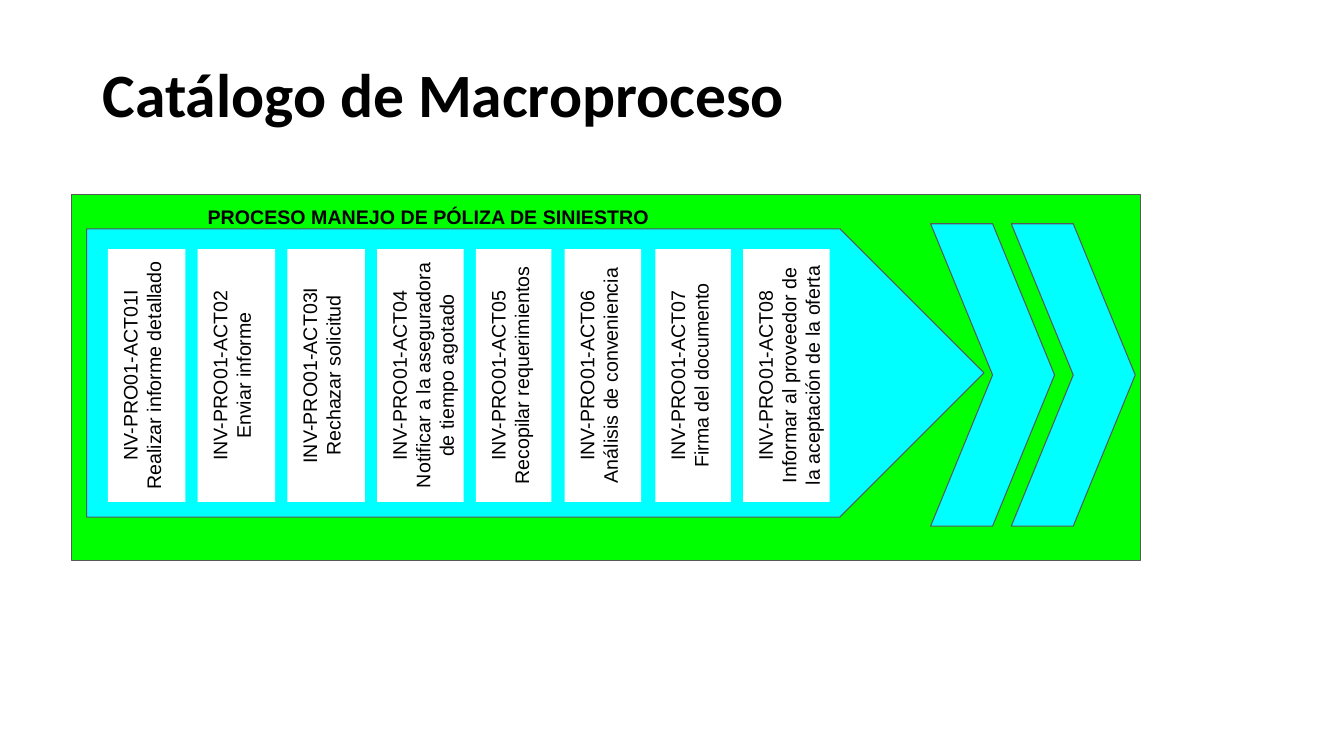
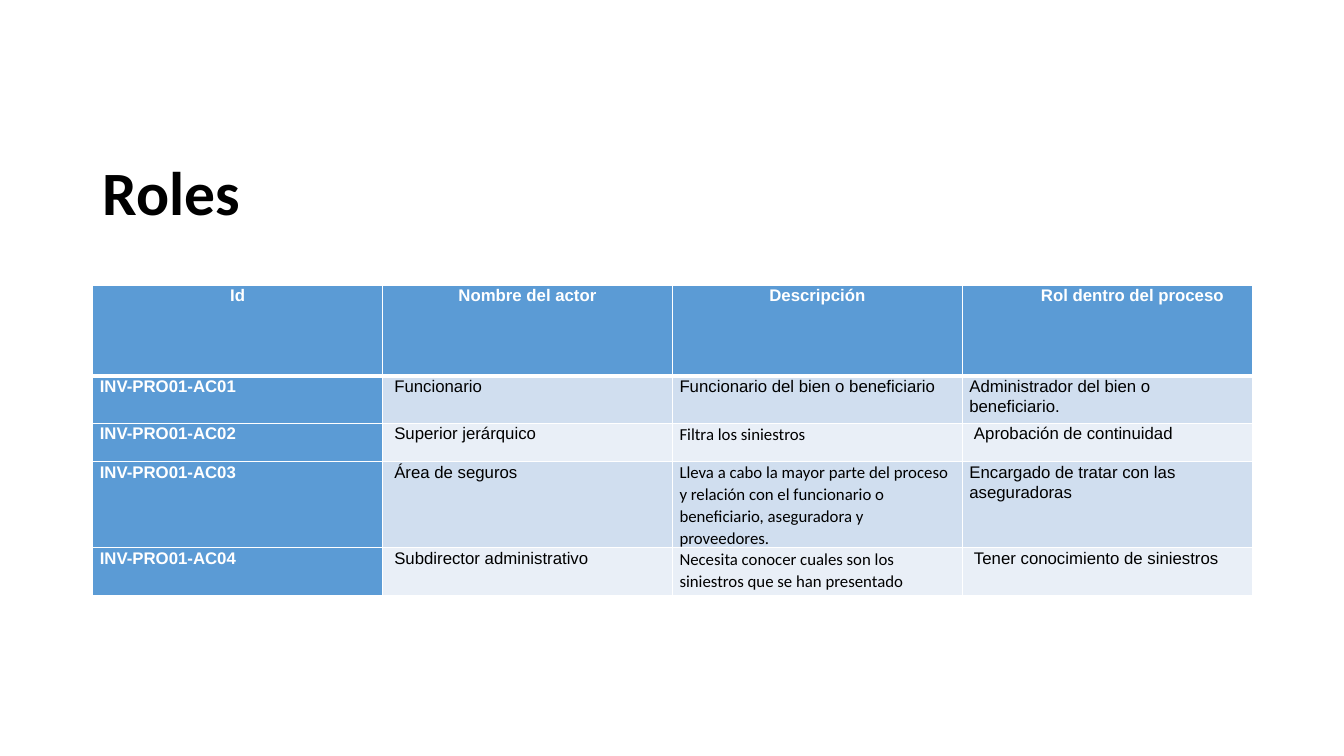
import dataclasses

import lxml.etree
import pptx
import pptx.dml.color
import pptx.enum.shapes
import pptx.enum.text
import pptx.oxml.ns
import pptx.util

Inches = pptx.util.Inches
Pt = pptx.util.Pt
SHAPE = pptx.enum.shapes.MSO_SHAPE
ALIGN = pptx.enum.text.PP_ALIGN
ANCHOR = pptx.enum.text.MSO_ANCHOR

COLORS = {
    "black": "000000",
    "white": "FFFFFF",
    "green": "00FF00",
    "cyan": "00FFFF",
    "outline": "595959",
    "header": "5B9BD5",
    "band_dark": "D0DEEF",
    "band_light": "E9EFF7",
}
HEADING_FONT = "Calibri"
BODY_FONT = "Arial"
MARGIN = 0.92
CONTENT_WIDTH = 11.5


@dataclasses.dataclass(frozen=True)
class Box:
    """Place and size in inches."""

    left: float
    top: float
    width: float
    height: float

    def lengths(self) -> tuple:
        """Return left, top, width and height as lengths."""
        return tuple(Inches(value) for value in dataclasses.astuple(self))


@dataclasses.dataclass(frozen=True)
class TextStyle:
    """Look of a paragraph."""

    size: float
    font: str = BODY_FONT
    color: str = "black"
    bold: bool = False
    align: ALIGN = ALIGN.LEFT
    spacing: float = 1.0
    indent: float = 0


@dataclasses.dataclass(frozen=True)
class Activity:
    """One upright activity card, with its visible left edge and width."""

    left: float
    width: float
    code: str
    name: str


@dataclasses.dataclass(frozen=True)
class Role:
    """One row of the roles table."""

    code: str
    actor: str
    description: str
    duty: str
    height: float
    description_font: str = HEADING_FONT


TITLE_STYLE = TextStyle(44, HEADING_FONT, bold=True, spacing=0.9)
PROCESS_STYLE = TextStyle(14, bold=True)
CARD_STYLE = TextStyle(14, align=ALIGN.CENTER)
CELL_STYLE = TextStyle(12, spacing=1.07)
CODE_STYLE = dataclasses.replace(CELL_STYLE, color="white", bold=True)
HEADER_STYLE = dataclasses.replace(CODE_STYLE, align=ALIGN.CENTER)

CARD_TOP, CARD_HEIGHT = 2.47, 2.51
ACTIVITIES = [
    Activity(1.07, 0.77, "NV-PRO01-ACT01I", "Realizar informe detallado"),
    Activity(1.96, 0.77, "INV-PRO01-ACT02", "Enviar informe"),
    Activity(2.85, 0.77, "INV-PRO01-ACT03I", "Rechazar solicitud"),
    Activity(3.74, 0.86, "INV-PRO01-ACT04",
             "Notificar a la aseguradora de tiempo agotado"),
    Activity(4.72, 0.75, "INV-PRO01-ACT05", "Recopilar requerimientos"),
    Activity(5.6, 0.76, "INV-PRO01-ACT06", "Análisis de conveniencia"),
    Activity(6.5, 0.75, "INV-PRO01-ACT07", "Firma del documento"),
    Activity(7.37, 0.86, "INV-PRO01-ACT08",
             "Informar al proveedor de la aceptación de la oferta"),
]

ROLE_HEADINGS = ["Id", "Nombre del actor", "Descripción", "Rol dentro del proceso"]
HEADER_HEIGHT = 0.9
ROLES = [
    Role("INV-PRO01-AC01", "\u00a0Funcionario",
         "Funcionario del bien o beneficiario",
         "Administrador del bien o beneficiario.", 0.47, BODY_FONT),
    Role("INV-PRO01-AC02", "\u00a0Superior jerárquico", "Filtra los siniestros",
         "\u00a0Aprobación de continuidad", 0.38),
    Role("INV-PRO01-AC03", "\u00a0Área de seguros",
         "Lleva a cabo la mayor parte del proceso y relación con el funcionario "
         "o beneficiario, aseguradora y proveedores.",
         "Encargado de tratar con las aseguradoras", 0.62),
    Role("INV-PRO01-AC04", "\u00a0Subdirector administrativo",
         "Necesita conocer cuales son los siniestros que se han presentado",
         "\u00a0Tener conocimiento de siniestros", 0.47),
]


def rgb(name: str) -> pptx.dml.color.RGBColor:
    """Return a named colour."""
    return pptx.dml.color.RGBColor.from_string(COLORS[name])


def write_text(frame, lines: list[str], style: TextStyle) -> None:
    """Write one paragraph per line."""
    for index, line in enumerate(lines):
        para = frame.add_paragraph() if index else frame.paragraphs[0]
        para.text = line
        para.alignment = style.align
        para.line_spacing = style.spacing
        para.font.size = Pt(style.size)
        para.font.name = style.font
        para.font.bold = style.bold
        para.font.color.rgb = rgb(style.color)
        if style.indent:
            para._p.get_or_add_pPr().set("indent", str(Inches(style.indent)))


def set_frame(frame, anchor: ANCHOR, vertical_inset: float) -> None:
    """Set wrapping, anchor and insets of a text frame."""
    frame.word_wrap = True
    frame.vertical_anchor = anchor
    frame.margin_left = frame.margin_right = Inches(0.1)
    frame.margin_top = frame.margin_bottom = Inches(vertical_inset)


def add_text(page, box: Box, text: str, style: TextStyle,
             anchor: ANCHOR = ANCHOR.TOP, vertical_inset: float = 0.1) -> None:
    """Add a text box."""
    frame = page.shapes.add_textbox(*box.lengths()).text_frame
    set_frame(frame, anchor, vertical_inset)
    write_text(frame, [text], style)


def add_titled_page(deck, title: str, top: float):
    """Add a blank page with a title."""
    page = deck.slides.add_slide(deck.slide_layouts[6])
    add_text(page, Box(MARGIN, top, CONTENT_WIDTH, 1.45), title, TITLE_STYLE,
             ANCHOR.MIDDLE, 0.05)
    return page


def add_panel(page, kind: SHAPE, box: Box, fill: str, outlined: bool = True):
    """Add a filled preset shape."""
    panel = page.shapes.add_shape(kind, *box.lengths())
    panel.shadow.inherit = False
    panel.fill.solid()
    panel.fill.fore_color.rgb = rgb(fill)
    if outlined:
        panel.line.color.rgb = rgb("outline")
        panel.line.width = Pt(0.75)
    else:
        panel.line.fill.background()
    return panel


def add_card(page, activity: Activity) -> None:
    """Add an activity card turned to read upwards."""
    center_x = activity.left + activity.width / 2
    center_y = CARD_TOP + CARD_HEIGHT / 2
    box = Box(center_x - CARD_HEIGHT / 2, center_y - activity.width / 2,
              CARD_HEIGHT, activity.width)
    card = add_panel(page, SHAPE.RECTANGLE, box, "white", outlined=False)
    card.rotation = 270
    set_frame(card.text_frame, ANCHOR.TOP, 0.1)
    write_text(card.text_frame, [activity.code, activity.name], CARD_STYLE)


def add_borders(cell, top: float = 1, bottom: float = 1) -> None:
    """Draw white borders, with widths in points."""
    properties = cell._tc.get_or_add_tcPr()
    for side, width in (("L", 1), ("R", 1), ("T", top), ("B", bottom)):
        line = lxml.etree.SubElement(
            properties, pptx.oxml.ns.qn(f"a:ln{side}"), w=str(Pt(width)))
        fill = lxml.etree.SubElement(line, pptx.oxml.ns.qn("a:solidFill"))
        lxml.etree.SubElement(
            fill, pptx.oxml.ns.qn("a:srgbClr"), val=COLORS["white"])


def fill_cell(cell, text: str, style: TextStyle, fill: str,
              top: float = 1, bottom: float = 1) -> None:
    """Set text, borders and fill of a table cell."""
    cell.margin_left = cell.margin_right = Inches(0.07)
    cell.margin_top = cell.margin_bottom = 0
    write_text(cell.text_frame, [text], style)
    add_borders(cell, top, bottom)
    cell.fill.solid()
    cell.fill.fore_color.rgb = rgb(fill)


def add_roles_table(page) -> None:
    """Add the table of roles."""
    heights = [HEADER_HEIGHT] + [role.height for role in ROLES]
    box = Box(MARGIN, 2.83, CONTENT_WIDTH, sum(heights))
    table = page.shapes.add_table(
        len(heights), len(ROLE_HEADINGS), *box.lengths()).table
    table.horz_banding = False
    for row, height in zip(table.rows, heights):
        row.height = Inches(height)

    for column, heading in enumerate(ROLE_HEADINGS):
        indent = 0.5 if column == len(ROLE_HEADINGS) - 1 else 0
        style = dataclasses.replace(HEADER_STYLE, indent=indent)
        fill_cell(table.cell(0, column), heading, style, "header", bottom=3)

    for row, role in enumerate(ROLES, start=1):
        band = "band_dark" if row % 2 else "band_light"
        description_style = dataclasses.replace(
            CELL_STYLE, font=role.description_font)
        contents = [
            (role.code, CODE_STYLE, "header"),
            (role.actor, CELL_STYLE, band),
            (role.description, description_style, band),
            (role.duty, CELL_STYLE, band),
        ]
        for column, (text, style, fill) in enumerate(contents):
            fill_cell(table.cell(row, column), text, style, fill,
                      top=3 if row == 1 else 1)


def build_macroprocess(deck) -> None:
    """Build the macroprocess page."""
    page = add_titled_page(deck, "Catálogo de Macroproceso", 0.24)
    add_panel(page, SHAPE.RECTANGLE, Box(0.71, 1.93, 10.6, 3.63), "green")
    add_panel(page, SHAPE.PENTAGON, Box(0.86, 2.27, 8.9, 2.86), "cyan")
    for left in (9.23, 10.03):
        add_panel(page, SHAPE.CHEVRON, Box(left, 2.22, 1.23, 3), "cyan")
    for activity in ACTIVITIES:
        add_card(page, activity)
    add_text(page, Box(1.96, 1.93, 5.62, 0.34),
             "PROCESO MANEJO DE PÓLIZA DE SINIESTRO", PROCESS_STYLE)


def build_roles(deck) -> None:
    """Build the roles page."""
    add_roles_table(add_titled_page(deck, "Roles", 1.21))


def main() -> None:
    """Build and save the deck."""
    deck = pptx.Presentation()
    deck.slide_width = Inches(13.33)
    deck.slide_height = Inches(7.5)
    build_macroprocess(deck)
    build_roles(deck)
    deck.save("out.pptx")


main()
